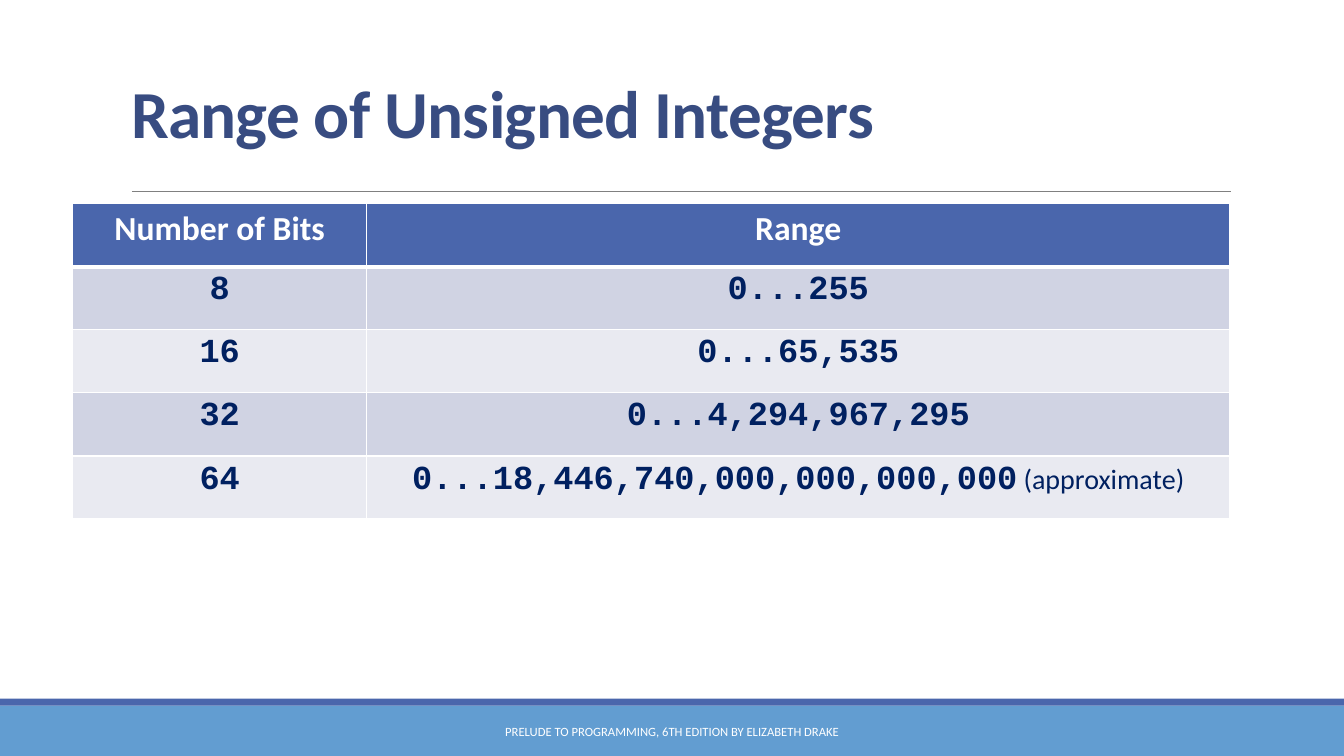
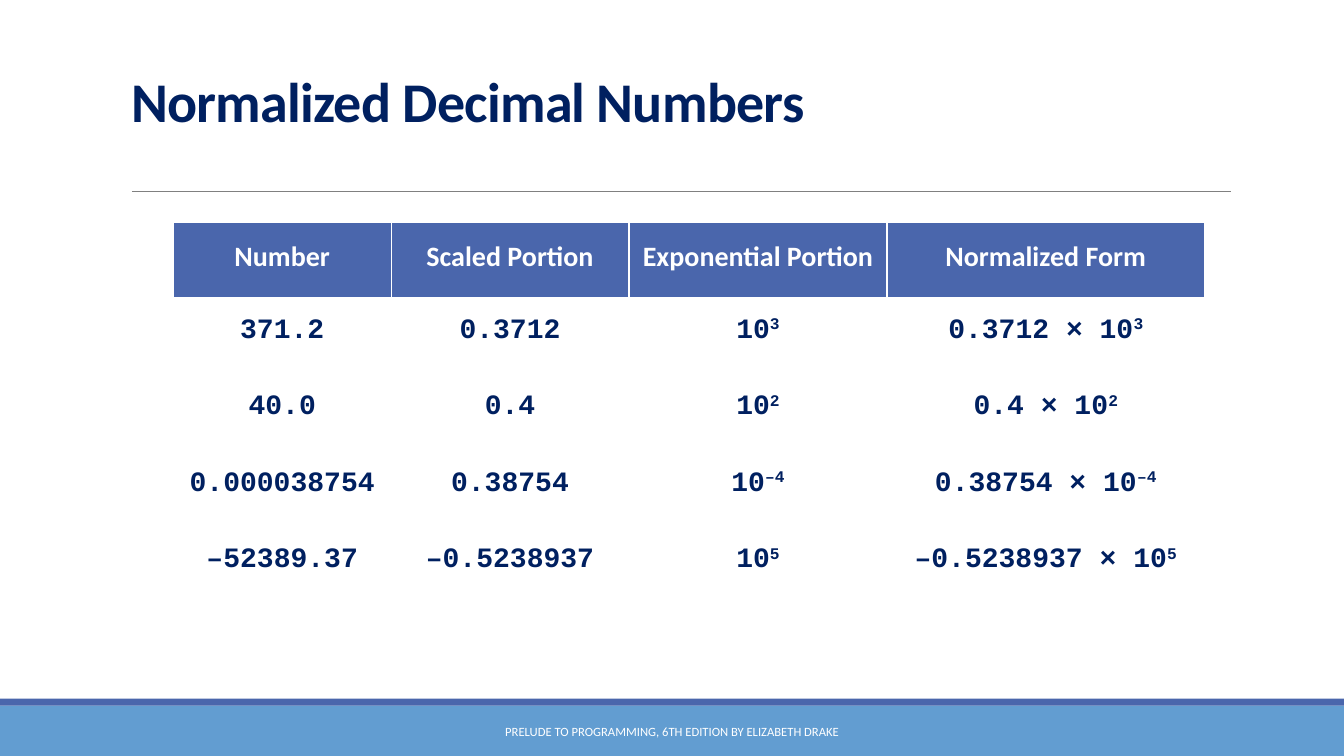
from lxml import etree
from pptx import Presentation
from pptx.dml.color import RGBColor
from pptx.enum.shapes import MSO_CONNECTOR, MSO_SHAPE
from pptx.enum.text import MSO_ANCHOR, MSO_AUTO_SIZE, PP_ALIGN
from pptx.oxml import parse_xml
from pptx.oxml.ns import nsdecls, qn
from pptx.util import Inches, Pt

RECTANGLE = MSO_SHAPE.RECTANGLE
STRAIGHT = MSO_CONNECTOR.STRAIGHT
CENTER, LEFT = PP_ALIGN.CENTER, PP_ALIGN.LEFT
MIDDLE, BOTTOM = MSO_ANCHOR.MIDDLE, MSO_ANCHOR.BOTTOM
TITLE_ONLY = 5

COLORS = {
    "white": "FFFFFF", "blue": "4A66AC", "sky": "629DD1", "slate": "384C81",
    "navy": "002060", "rule": "808080", "odd": "D0D3E3", "even": "E9EAF1",
}
FOOTER = "PRELUDE TO PROGRAMMING, 6TH EDITION BY ELIZABETH DRAKE"

deck = Presentation()
deck.slide_width, deck.slide_height = Inches(13.33), Inches(7.5)
COLUMN, ROW = deck.slide_width / 100, deck.slide_height / 100


def area(left, top, width, height):
    """Turn hundredths of the slide's width and height into lengths."""
    return [int(left * COLUMN), int(top * ROW), int(width * COLUMN), int(height * ROW)]


def add_span(para, text, color, size, name="Calibri", bold=True, **attributes):
    """Add a run; attributes such as spc and baseline go to its properties."""
    span = para.add_run()
    span.text = text
    for key, value in {"name": name, "size": Pt(size), "bold": bold}.items():
        setattr(span.font, key, value)
    span.font.color.rgb = RGBColor.from_string(COLORS[color])
    for key, value in attributes.items():
        span.font._element.set(key, value)


CODE = {"color": "navy", "name": "Courier New"}
SUPERSCRIPT = {**CODE, "baseline": "30000"}
NOTE = {"color": "navy", "size": 20, "bold": False}

# A cell is a list of (text, format) spans.
unsigned_ranges = [
    ("8", "255"), ("16", "65,535"), ("32", "4,294,967,295"),
    ("64", "18,446,740,000,000,000,000"),
]
range_rows = [[[(bits, CODE)], [("0..." + top, CODE)]] for bits, top in unsigned_ranges]
range_rows[-1][1].append((" (approximate)", NOTE))

decimals = [
    ("371.2", "0.3712", "3"), ("40.0", "0.4", "2"),
    ("0.000038754", "0.38754", "–4"), ("–52389.37", "–0.5238937", "5"),
]
decimal_rows = [
    [
        [(number, CODE)],
        [(scaled, CODE)],
        [("10", CODE), (power, SUPERSCRIPT)],
        [(scaled + " × 10", CODE), (power, SUPERSCRIPT)],
    ]
    for number, scaled, power in decimals
]

pages = [
    {
        "title": "Range of Unsigned Integers",
        "title_color": "slate", "title_size": 48, "title_height": 16.67,
        "left": 5.4, "top": 26.93, "columns": [21.9, 64.2], "row": 8.35,
        "header": ["Number of Bits", "Range"], "rows": range_rows,
        "size": 24, "spacing": 1.0, "banded": True, "margins": {},
    },
    {
        "title": "Normalized Decimal Numbers",
        "title_color": "navy", "title_size": 40, "title_height": 14.27,
        "left": 12.9, "top": 29.47, "columns": [16.2, 17.7, 19.2, 23.63], "row": 10.11,
        "header": ["Number", "Scaled Portion", "Exponential Portion", "Normalized Form"],
        "rows": decimal_rows,
        "size": 20, "spacing": 1.5, "banded": False,
        "margins": {
            "margin_left": Inches(0.07), "margin_right": Inches(0.07),
            "margin_top": 0, "margin_bottom": 0,
        },
    },
]

for content in pages:
    page = deck.slides.add_slide(deck.slide_layouts[TITLE_ONLY])
    shapes = page.shapes

    # Bands and rule
    for color, top, height in [("sky", 93.33, 6.67), ("blue", 92.4, 0.93)]:
        band = shapes.add_shape(RECTANGLE, *area(0, top, 100, height))
        band.shadow.inherit = False
        band.fill.solid()
        band.fill.fore_color.rgb = RGBColor.from_string(COLORS[color])
        band.line.fill.background()
    rule = shapes.add_connector(STRAIGHT, *area(9.82, 25.33, 91.6, 25.33))
    rule.line.color.rgb = RGBColor.from_string(COLORS["rule"])
    rule.line.width = Pt(0.5)
    etree.SubElement(rule._element.spPr, qn("a:effectLst"))

    # Title
    title = shapes.title
    title.left, title.top, title.width, title.height = area(
        9, 4.13, 82.5, content["title_height"])
    frame = title.text_frame
    frame.auto_size = MSO_AUTO_SIZE.NONE
    frame.vertical_anchor = BOTTOM
    para = frame.paragraphs[0]
    para.alignment, para.line_spacing = LEFT, 0.85
    add_span(para, content["title"], content["title_color"], content["title_size"], spc="-50")

    # Table
    header = [[(label, {"color": "white"})] for label in content["header"]]
    rows = [header] + content["rows"]
    widths = content["columns"]
    table = shapes.add_table(len(rows), len(widths), *area(
        content["left"], content["top"], sum(widths), content["row"] * len(rows))).table
    table.horz_banding = False
    for column, width in zip(table.columns, widths):
        column.width = int(width * COLUMN)
    for row_index, row in enumerate(rows):
        table.rows[row_index].height = int(content["row"] * ROW)
        if row_index == 0:
            fill = "blue"
        elif content["banded"]:
            fill = "odd" if row_index % 2 else "even"
        else:
            fill = None
        edges = {"L": 1, "R": 1, "T": 3 if row_index == 1 else 1, "B": 3 if row_index == 0 else 1}
        for column_index, spans in enumerate(row):
            cell = table.cell(row_index, column_index)
            properties = cell._tc.get_or_add_tcPr()
            for side, points in edges.items():
                properties.append(parse_xml(
                    f'<a:ln{side} {nsdecls("a")} w="{Pt(points)}"><a:solidFill>'
                    f'<a:srgbClr val="{COLORS["white"]}"/></a:solidFill></a:ln{side}>'))
            if fill:
                cell.fill.solid()
                cell.fill.fore_color.rgb = RGBColor.from_string(COLORS[fill])
            else:
                cell.fill.background()
            for key, value in content["margins"].items():
                setattr(cell, key, value)
            para = cell.text_frame.paragraphs[0]
            para.alignment, para.line_spacing = CENTER, content["spacing"]
            for text, style in spans:
                add_span(para, text, **{"size": content["size"], **style})

    # Footer
    footer = shapes.add_textbox(*area(30.23, 94.13, 39.53, 5.33)).text_frame
    footer.word_wrap = True
    footer.vertical_anchor = MIDDLE
    para = footer.paragraphs[0]
    para.alignment = CENTER
    add_span(para, FOOTER, "white", 9, bold=False)

deck.save("out.pptx")
